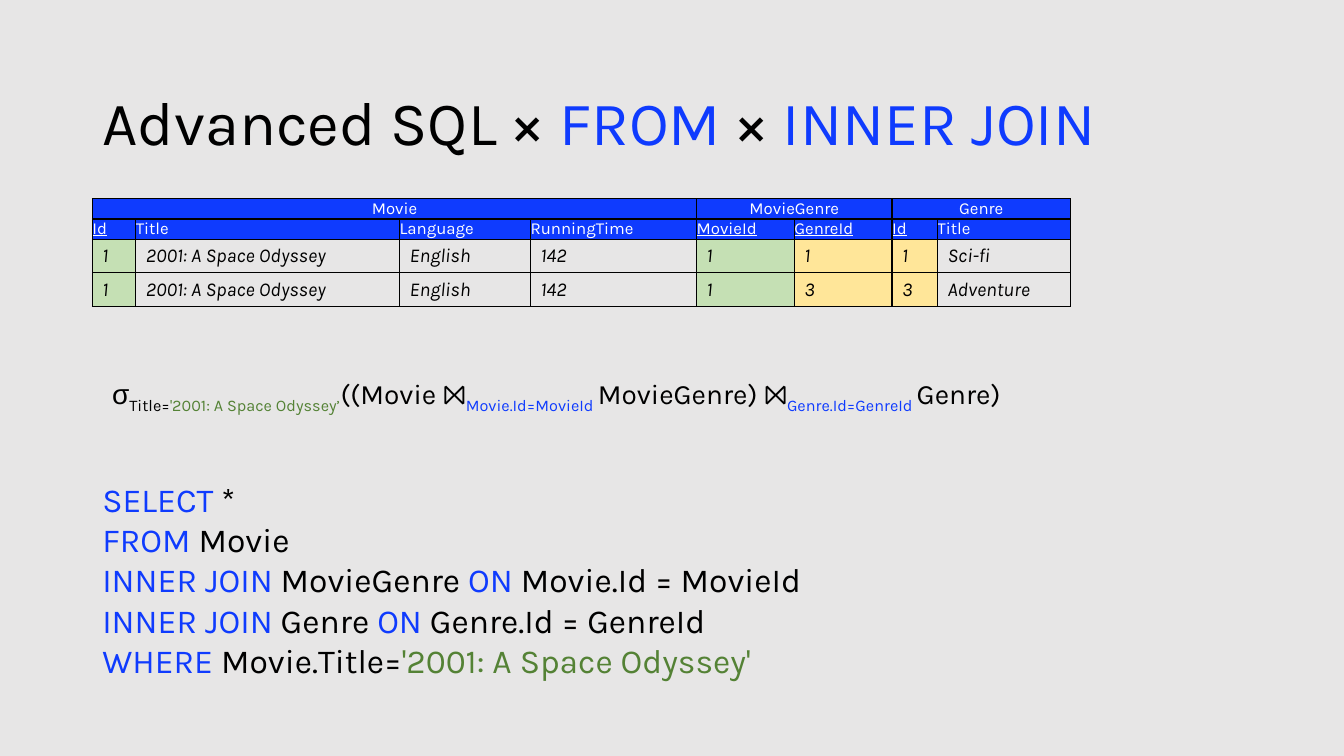
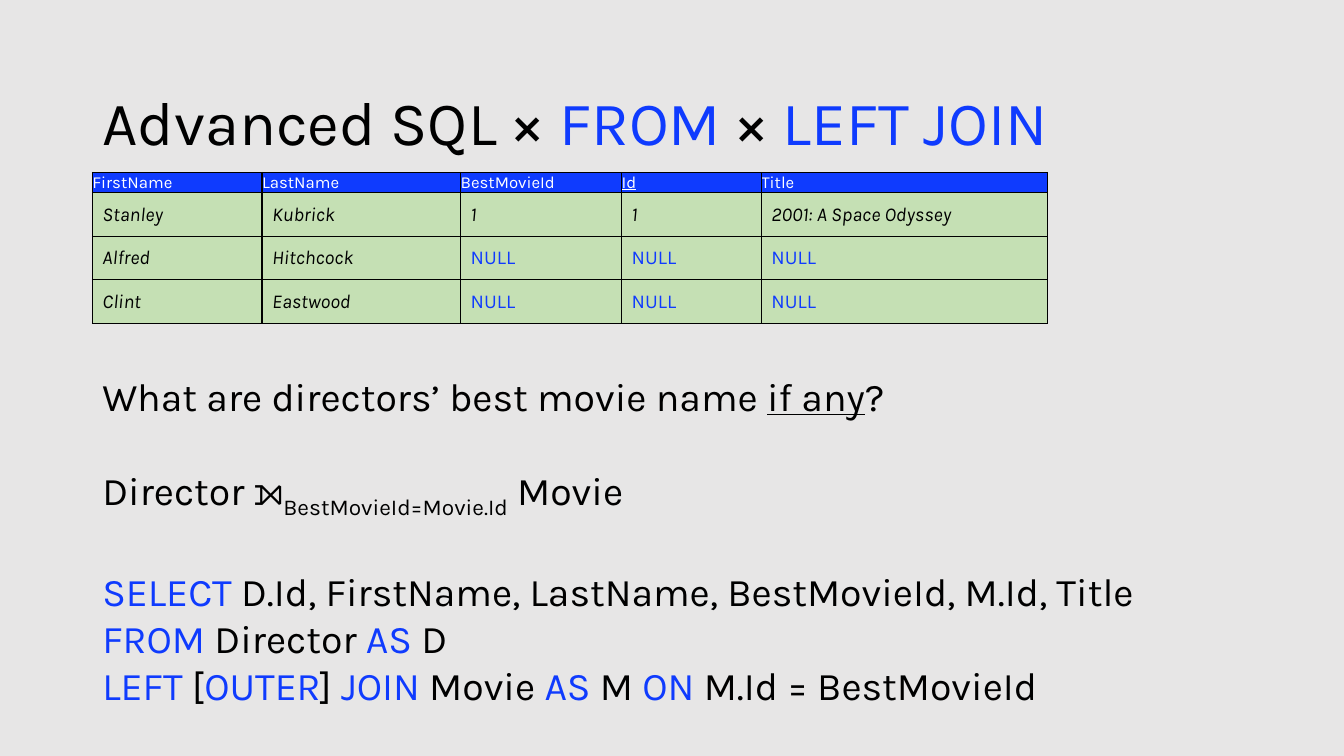
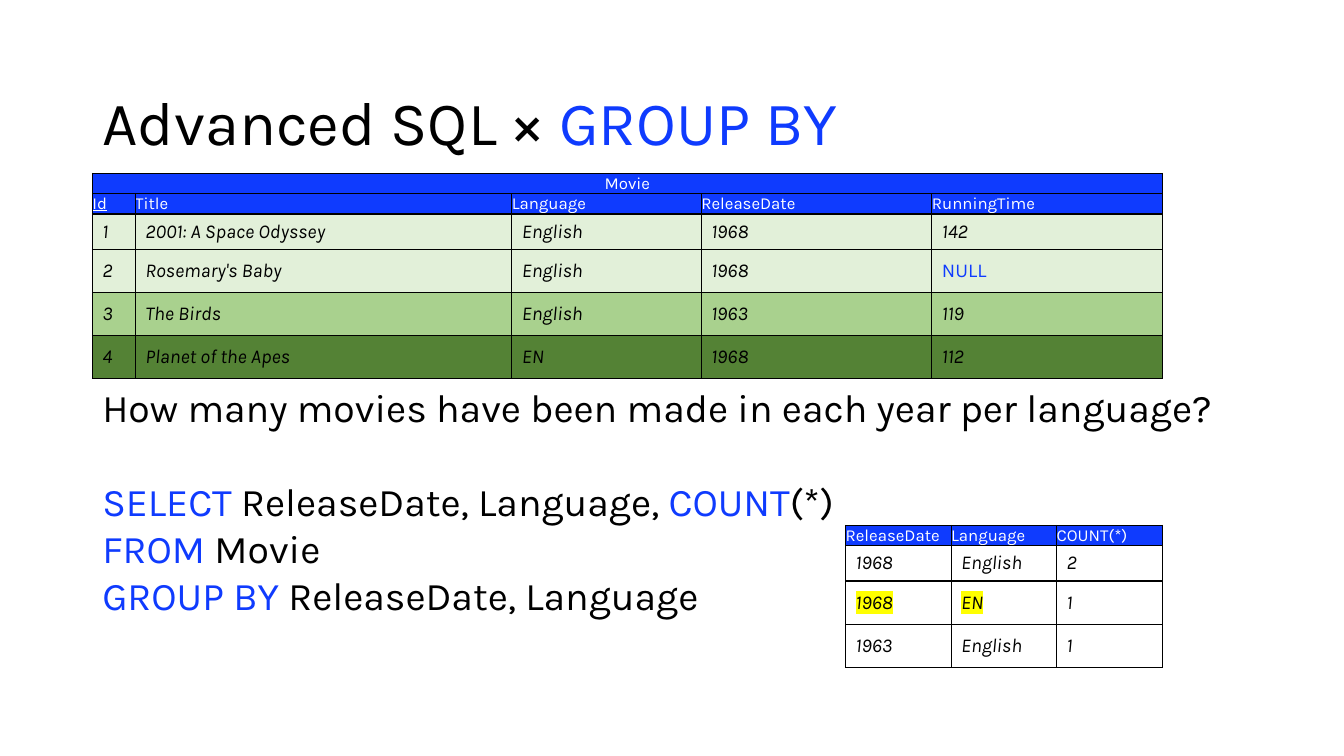
from dataclasses import dataclass

from lxml import etree
from pptx import Presentation
from pptx.dml.color import RGBColor
from pptx.enum import text as text_enum
from pptx.oxml import ns
from pptx.util import Pt


@dataclass(frozen=True)
class Theme:
    font: str = "Karla"
    symbol_font: str = "Arial"
    black: str = "000000"
    white: str = "FFFFFF"
    grey: str = "E7E6E6"
    blue: str = "0F3BFE"
    pale_green: str = "E2F0D9"
    light_green: str = "C5E0B4"
    mid_green: str = "A9D18E"
    dark_green: str = "548235"
    sand: str = "FFE699"
    yellow: str = "FFFF00"
    title_size: int = 44
    query_size: int = 28
    long_query_size: int = 24
    formula_size: int = 20
    body_size: int = 14
    header_size: int = 12


THEME = Theme()
LEFT = 66
TITLE_TOP, TITLE_WIDTH, TITLE_HEIGHT = 63.5, 828, 60
LINE = 1.2  # line height of the font, in ems
HEADER_HEIGHT = THEME.header_size * LINE
GAP = THEME.query_size * LINE

# A run is plain text or (text, styles). Styles: key, literal, sub, under, mark, symbol, upright.
NULL = ("NULL", "key upright")
ID = ("Id", "under")
FROM = ("FROM", "key")
TIMES = " × "
ODYSSEY = "2001: A Space Odyssey"

# A line is (space before, runs). A text is (left, top, width, height, size, lines).
# A table has groups of (title, columns spanned) and rows of (height, fills, cells).
JOIN_FILLS = ([THEME.light_green] + [None] * 3 + [THEME.light_green]
              + [THEME.sand] * 2 + [None])

SLIDES = [
    {
        "background": THEME.grey,
        "title": [FROM, TIMES, ("INNER JOIN", "key")],
        "title_column": 739.5,
        "tables": [{
            "at": (LEFT, 142),
            "columns": [31, 188.5, 93.5, 118.7, 69.8, 69.8, 32.4, 95],
            "groups": [("Movie", 4), ("MovieGenre", 2), ("Genre", 2)],
            "header": [ID, "Title", "Language", "RunningTime", ("MovieId", "under"),
                       ("GenreId", "under"), ID, "Title"],
            "rows": [
                (24, JOIN_FILLS, ["1", ODYSSEY, "English", "142", "1", "1", "1", "Sci-fi"]),
                (24, JOIN_FILLS, ["1", ODYSSEY, "English", "142", "1", "3", "3", "Adventure"]),
            ],
        }],
        "texts": [
            (73, 265.3, 700, 32, THEME.formula_size, [
                (0, [("σ", "symbol"), ("Title=", "sub"), (f"'{ODYSSEY}’", "literal sub"),
                     "((Movie ⨝", ("Movie.Id=MovieId ", "key sub"), "MovieGenre) ⨝",
                     ("Genre.Id=GenreId ", "key sub"), "Genre)"]),
            ]),
            (LEFT, 338.4, 600, 152, THEME.long_query_size, [
                (0, [("SELECT", "key"), " *"]),
                (0, [FROM, " Movie"]),
                (0, [("INNER JOIN ", "key"), "MovieGenre ", ("ON ", "key"),
                     "Movie.Id = MovieId"]),
                (0, [("INNER JOIN ", "key"), "Genre ", ("ON ", "key"), "Genre.Id = GenreId"]),
                (0, [("WHERE ", "key"), "Movie.Title=", (f"'{ODYSSEY}'", "literal")]),
            ]),
        ],
    },
    {
        "background": THEME.grey,
        "title": [FROM, TIMES, ("LEFT JOIN", "key")],
        "title_column": 739.5,
        "tables": [{
            "at": (LEFT, 123.2),
            "columns": [121.2, 141.9, 115, 99.8, 204.2],
            "groups": [],
            "header": ["FirstName", "LastName", "BestMovieId", ID, "Title"],
            "rows": [
                (31.1, [THEME.light_green] * 5, ["Stanley", "Kubrick", "1", "1", ODYSSEY]),
                (31.1, [THEME.light_green] * 5, ["Alfred", "Hitchcock", NULL, NULL, NULL]),
                (31.1, [THEME.light_green] * 5, ["Clint", "Eastwood", NULL, NULL, NULL]),
            ],
        }],
        "texts": [
            (LEFT, 262.5, 776, 270, THEME.query_size, [
                (0, ["What are directors’ best movie name ", ("if any", "under"), "?"]),
                (GAP, ["Director ⟕", ("BestMovieId=Movie.Id", "sub"), " Movie"]),
                (GAP, [("SELECT ", "key"),
                       "D.Id, FirstName, LastName, BestMovieId, M.Id, Title"]),
                (0, [FROM, " Director ", ("AS", "key"), " D"]),
                (0, [("LEFT ", "key"), "[", ("OUTER", "key"), "]", (" JOIN ", "key"), "Movie ",
                     ("AS", "key"), " M ", ("ON ", "key"), "M.Id = BestMovieId"]),
            ]),
        ],
    },
    {
        "background": THEME.white,
        "title": [("GROUP BY", "key")],
        "title_column": 638.5,
        "tables": [
            {
                "at": (LEFT, 124),
                "columns": [30.6, 269, 135.4, 164.7, 164.7],
                "groups": [("Movie", 5)],
                "header": [ID, "Title", "Language", "ReleaseDate", "RunningTime"],
                "rows": [
                    (25.2, [THEME.pale_green] * 5, ["1", ODYSSEY, "English", "1968", "142"]),
                    (30.8, [THEME.pale_green] * 5,
                     ["2", "Rosemary's Baby", "English", "1968", NULL]),
                    (30.8, [THEME.mid_green] * 5, ["3", "The Birds", "English", "1963", "119"]),
                    (30.8, [THEME.dark_green] * 5,
                     ["4", "Planet of the Apes", "EN", "1968", "112"]),
                ],
            },
            {
                "at": (604, 375.4),
                "columns": [75.4] * 3,
                "groups": [],
                "header": ["ReleaseDate", "Language", "COUNT(*)"],
                "rows": [
                    (25.2, [None] * 3, ["1968", "English", "2"]),
                    (30.8, [None] * 3, [("1968", "mark"), ("EN", "mark"), "1"]),
                    (30.8, [None] * 3, ["1963", "English", "1"]),
                ],
            },
        ],
        "texts": [
            (LEFT, 270, 820, 211, THEME.query_size, [
                (0, ["How many movies have been made in each year per language?"]),
                (GAP, [("SELECT ", "key"), "ReleaseDate, Language, ", ("COUNT", "key"), "(*)"]),
                (0, [FROM, " Movie"]),
                (0, [("GROUP BY ", "key"), "ReleaseDate, Language"]),
            ]),
        ],
    },
]


def rgb(colour):
    return RGBColor.from_string(colour)


def style_run(run, styles):
    font = run.font
    if "key" in styles:
        font.color.rgb = rgb(THEME.blue)
    if "literal" in styles:
        font.color.rgb = rgb(THEME.dark_green)
    if "under" in styles:
        font.underline = True
    if "upright" in styles:
        font.italic = False
    properties = run._r.get_or_add_rPr()
    if "sub" in styles:
        properties.set("baseline", "-25000")
    if "mark" in styles:
        highlight = etree.SubElement(properties, ns.qn("a:highlight"))
        etree.SubElement(highlight, ns.qn("a:srgbClr"), val=THEME.yellow)
    if "symbol" in styles:
        font.name = THEME.symbol_font


def write(paragraph, runs, size, colour=THEME.black, italic=False):
    font = paragraph.font
    font.name, font.size, font.italic = THEME.font, Pt(size), italic
    font.color.rgb = rgb(colour)
    for item in runs:
        words, styles = (item, "") if isinstance(item, str) else item
        run = paragraph.add_run()
        run.text = words
        style_run(run, styles.split())


def add_text(slide, left, top, width, height, size, lines):
    box = slide.shapes.add_textbox(Pt(left), Pt(top), Pt(width), Pt(height))
    frame = box.text_frame
    frame.word_wrap = True
    for index, (space, runs) in enumerate(lines):
        paragraph = frame.add_paragraph() if index else frame.paragraphs[0]
        paragraph.space_before = Pt(space)
        write(paragraph, runs, size)


def add_grid(slide, left, top, columns, heights):
    """Add an unstyled table with the given column widths and row heights."""
    frame = slide.shapes.add_table(len(heights), len(columns), Pt(left), Pt(top),
                                   Pt(sum(columns)), Pt(sum(heights)))
    table = frame.table
    table.first_row = table.horz_banding = False
    for column, width in zip(table.columns, columns):
        column.width = Pt(width)
    for row, height in zip(table.rows, heights):
        row.height = Pt(height)
    return table


def set_borders(cell, colour):
    """Draw all four borders, or none when there is no colour."""
    properties = cell._tc.get_or_add_tcPr()
    for side in ("lnL", "lnR", "lnT", "lnB"):
        line = etree.SubElement(properties, ns.qn(f"a:{side}"), w=str(Pt(1)))
        if colour:
            fill = etree.SubElement(line, ns.qn("a:solidFill"))
            etree.SubElement(fill, ns.qn("a:srgbClr"), val=colour)
        else:
            etree.SubElement(line, ns.qn("a:noFill"))


def prepare_cell(cell, fill, border=THEME.black):
    set_borders(cell, border)
    if fill:
        cell.fill.solid()
        cell.fill.fore_color.rgb = rgb(fill)
    else:
        cell.fill.background()


def add_title(slide, runs, first_column):
    columns = [first_column, TITLE_WIDTH - first_column]
    table = add_grid(slide, LEFT, TITLE_TOP, columns, [TITLE_HEIGHT])
    for cell in table.iter_cells():
        prepare_cell(cell, None, border=None)
        cell.margin_top = 0
    write(table.cell(0, 0).text_frame.paragraphs[0], ["Advanced SQL" + TIMES] + runs,
          THEME.title_size)


def write_header(cell, item):
    cell.margin_left = cell.margin_right = cell.margin_top = cell.margin_bottom = 0
    write(cell.text_frame.paragraphs[0], [item], THEME.header_size, THEME.white)


def add_data_table(slide, at, columns, groups, header, rows):
    header_count = 2 if groups else 1
    heights = [HEADER_HEIGHT] * header_count + [height for height, _, _ in rows]
    table = add_grid(slide, *at, columns, heights)

    fills = [[THEME.blue] * len(columns)] * header_count + [fill for _, fill, _ in rows]
    for row, row_fills in zip(table.rows, fills):
        for cell, fill in zip(row.cells, row_fills):
            prepare_cell(cell, fill)
            cell.vertical_anchor = text_enum.MSO_ANCHOR.MIDDLE

    start = 0
    for name, span in groups:
        cell = table.cell(0, start)
        cell.merge(table.cell(0, start + span - 1))
        write_header(cell, name)
        cell.text_frame.paragraphs[0].alignment = text_enum.PP_ALIGN.CENTER
        start += span
    for index, item in enumerate(header):
        write_header(table.cell(header_count - 1, index), item)
    for row_index, (_, _, items) in enumerate(rows, header_count):
        for index, item in enumerate(items):
            paragraph = table.cell(row_index, index).text_frame.paragraphs[0]
            write(paragraph, [item], THEME.body_size, italic=True)


def build_slide(presentation, content):
    slide = presentation.slides.add_slide(presentation.slide_layouts[6])
    slide.background.fill.solid()
    slide.background.fill.fore_color.rgb = rgb(content["background"])
    add_title(slide, content["title"], content["title_column"])
    for entry in content["texts"]:
        add_text(slide, *entry)
    for table in content["tables"]:
        add_data_table(slide, **table)


def main():
    presentation = Presentation()
    presentation.slide_width, presentation.slide_height = Pt(960), Pt(540)
    for content in SLIDES:
        build_slide(presentation, content)
    presentation.save("out.pptx")


if __name__ == "__main__":
    main()
